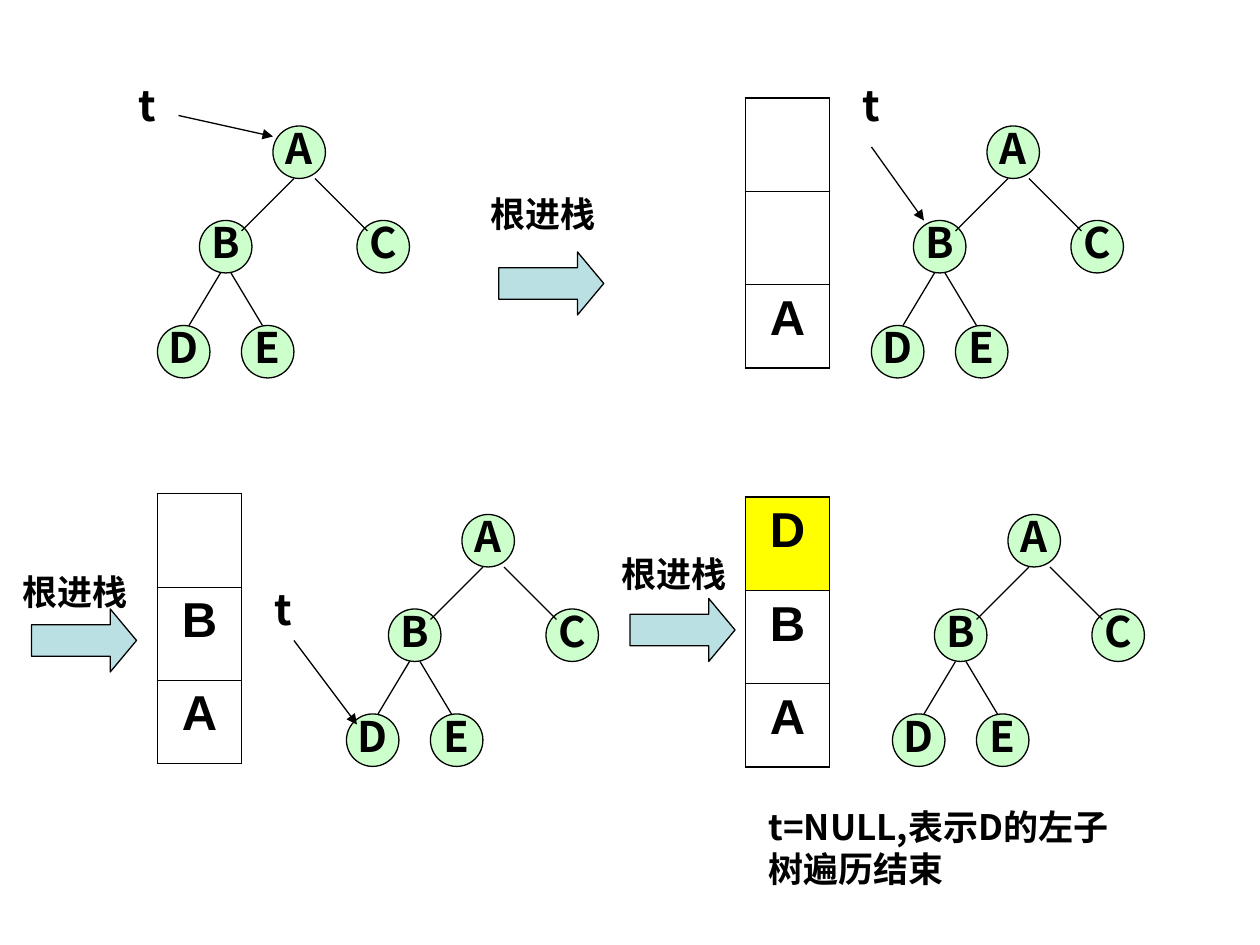
from lxml.etree import SubElement
from pptx import Presentation
from pptx.dml.color import RGBColor
from pptx.enum.shapes import MSO_CONNECTOR as CONN, MSO_SHAPE as SHAPE
from pptx.enum.text import MSO_ANCHOR as ANCHOR, PP_ALIGN as ALIGN
from pptx.oxml.ns import qn
from pptx.util import Pt

BLACK = RGBColor(0x00, 0x00, 0x00)
GREEN = RGBColor(0xCC, 0xFF, 0xCC)
TEAL = RGBColor(0xBB, 0xE0, 0xE3)
YELLOW = RGBColor(0xFF, 0xFF, 0x00)
SANS = "Noto Sans CJK SC"

NODE = 30
NODES = {"A": (66, 0), "B": (24, 54), "C": (114, 54), "D": (0, 114), "E": (48, 114)}
EDGES = [(78, 30, 48, 60), (90, 30, 120, 60), (36, 84, 18, 114), (42, 84, 60, 114)]


def write(tf, text, size, name=SANS, align=ALIGN.LEFT):
    p = tf.paragraphs[0]
    p.text = text
    p.alignment = align
    font = p.font
    font.size = Pt(size)
    font.bold = True
    font.color.rgb = BLACK
    font.name = name
    SubElement(p._p.pPr.find(qn("a:defRPr")), qn("a:ea"), typeface=name)
    return p


def add_label(s, x, y, w, h, text, size):
    tf = s.shapes.add_textbox(Pt(x), Pt(y), Pt(w), Pt(h)).text_frame
    tf.word_wrap = True
    write(tf, text, size)


def add_line(s, x1, y1, x2, y2, arrow=False):
    line = s.shapes.add_connector(CONN.STRAIGHT, Pt(x1), Pt(y1), Pt(x2), Pt(y2))
    line.line.color.rgb = BLACK
    line.line.width = Pt(0.75)
    if arrow:
        SubElement(line.line._get_or_add_ln(), qn("a:tailEnd"), type="triangle")
    SubElement(line._element.spPr, qn("a:effectLst"))


def add_filled(s, kind, x, y, w, h, color):
    sp = s.shapes.add_shape(kind, Pt(x), Pt(y), Pt(w), Pt(h))
    sp.shadow.inherit = False
    sp.fill.solid()
    sp.fill.fore_color.rgb = color
    sp.line.color.rgb = BLACK
    sp.line.width = Pt(0.75)
    return sp


def add_tree(s, x, y):
    for name, (dx, dy) in NODES.items():
        tf = add_filled(s, SHAPE.OVAL, x + dx, y + dy, NODE, NODE, GREEN).text_frame
        tf.word_wrap = False
        tf.vertical_anchor = ANCHOR.MIDDLE
        write(tf, name, 24, align=ALIGN.CENTER).line_spacing = 0.8
    for x1, y1, x2, y2 in EDGES:
        add_line(s, x + x1, y + y1, x + x2, y + y2)


def add_pointer(s, x, y, start, end):
    add_label(s, x, y, 66, 36, "t", 24)
    add_line(s, x + start[0], y + start[1], x + end[0], y + end[1], arrow=True)


def set_borders(cell, **widths):
    tcPr = cell._tc.get_or_add_tcPr()
    for side, width in widths.items():
        ln = SubElement(tcPr, qn(f"a:ln{side}"), w=str(Pt(width)))
        fill = SubElement(ln, qn("a:solidFill"))
        SubElement(fill, qn("a:srgbClr"), val=str(BLACK))


def add_stack(s, x, y, items, highlight=None):
    heights = (53.5, 53.25, 47.5)
    last = len(heights) - 1
    frame = s.shapes.add_table(len(heights), 1, Pt(x), Pt(y), Pt(48), Pt(sum(heights)))
    table = frame.table
    table.first_row = table.horz_banding = False
    for i, (height, item) in enumerate(zip(heights, items)):
        table.rows[i].height = Pt(height)
        cell = table.cell(i, 0)
        set_borders(cell, L=1.08, R=1.08, T=0.45 if i else 1.08, B=0.45 if i < last else 1.08)
        if item and item == highlight:
            cell.fill.solid()
            cell.fill.fore_color.rgb = YELLOW
        else:
            cell.fill.background()
        if item:
            write(cell.text_frame, item, 28, "Arial", ALIGN.CENTER)


def add_push_step(s, x, y, w, arrow_dy):
    add_label(s, x, y, w, 31.5, "根进栈", 20)
    arrow = add_filled(s, SHAPE.RIGHT_ARROW, x + 12, y + arrow_dy, 60, 36, TEAL)
    arrow.adjustments[1] = 0.417


def main():
    prs = Presentation()
    prs.slide_width, prs.slide_height = Pt(720), Pt(540)
    s = prs.slides.add_slide(prs.slide_layouts[6])

    for x, y in [(90, 72), (498, 72), (198, 294), (510, 294)]:
        add_tree(s, x, y)

    add_pointer(s, 72, 42, (30, 24), (84, 36))
    add_pointer(s, 486, 42, (12, 42), (42, 84))
    add_pointer(s, 150, 330, (18, 36), (54, 84))

    add_stack(s, 426, 56, ["", "", "A"])
    add_stack(s, 90, 282, ["", "B", "A"])
    add_stack(s, 426, 284, ["D", "B", "A"], highlight="D")

    add_label(s, 432, 457, 210, 55.5, "t=NULL,表示D的左子树遍历结束", 20)

    add_push_step(s, 273, 106.5, 138, 37.5)
    add_push_step(s, 6, 322.5, 90, 25.5)
    add_push_step(s, 348, 312, 138, 30)

    prs.save("out.pptx")


if __name__ == "__main__":
    main()
